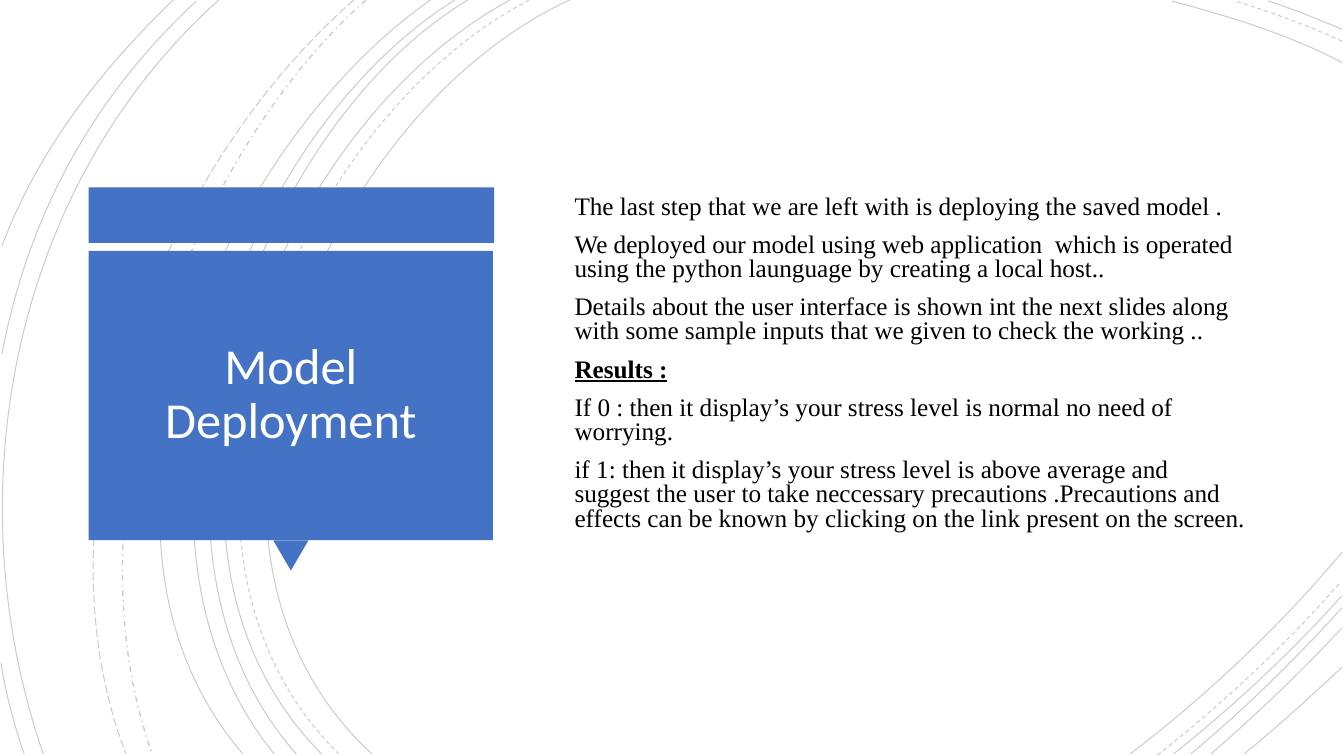
import pptx
import pptx.util
import pptx.dml.color
import pptx.enum.dml
import pptx.enum.shapes
import pptx.enum.text
import pptx.oxml
import pptx.oxml.ns

Inches = pptx.util.Inches
Pt = pptx.util.Pt
Dash = pptx.enum.dml.MSO_LINE
Kind = pptx.enum.shapes.MSO_SHAPE
Align = pptx.enum.text.PP_ALIGN
qn = pptx.oxml.ns.qn
SPACE = pptx.oxml.ns.nsdecls("a")

COLORS = {"line": "000000", "panel": "4472C4", "title": "FFFFFE", "body": "000000"}

# Each arc: start, two control points, end
SOLID = [
    ((5.65, 0), (3.15, 1.15), (1.43, 5.4), (3.69, 7.48)),
    ((13.31, 0.62), (12.78, 0.34), (12.18, 0.16), (11.62, 0.01)),
    ((11.21, 7.48), (11.97, 6.9), (12.69, 6.22), (13.31, 5.48)),
    ((5.06, 0), (2.7, 1.27), (1.1, 5.37), (3.19, 7.48)),
    ((13.31, 0.29), (13.07, 0.19), (12.83, 0.09), (12.58, 0.01)),
    ((11.64, 7.48), (12.23, 7.01), (12.8, 6.48), (13.31, 5.91)),
    ((4.64, 0), (2.44, 1.33), (1.1, 5.41), (2.94, 7.48)),
    ((11.81, 7.48), (12.34, 7.04), (12.84, 6.55), (13.31, 6.03)),
    ((4.51, 0), (2.31, 1.38), (0.97, 5.33), (2.72, 7.48)),
    ((12.01, 7.48), (12.46, 7.09), (12.9, 6.67), (13.31, 6.23)),
    ((4.27, 0), (2.17, 1.47), (0.53, 5.29), (2.41, 7.48)),
    ((12.34, 7.48), (12.67, 7.21), (12.99, 6.92), (13.31, 6.62)),
    ((2.17, 0), (0.11, 1.85), (-0.46, 4.9), (0.43, 7.48)),
    ((1.95, 0.01), (0.92, 0.96), (0.28, 2.14), (0.02, 3.51)),
    ((0.01, 6.58), (0.06, 6.89), (0.14, 7.19), (0.24, 7.48)),
    ((1.72, 0), (1, 0.69), (0.37, 1.5), (0.02, 2.44)),
]
DASHED = [
    ((5.25, 0), (2.85, 1.25), (1.23, 5.37), (3.36, 7.48)),
    ((13.31, 0.41), (12.97, 0.25), (12.6, 0.12), (12.25, 0.01)),
    ((11.48, 7.49), (12.13, 6.98), (12.75, 6.4), (13.3, 5.77)),
]
DOTTED = [((3.63, 0), (1.76, 1.66), (0.65, 5.09), (1.51, 7.48))]
LONG = [((3.51, 0), (1.57, 1.69), (0.29, 4.99), (1.25, 7.48))]

BODY = [
    "The last step that we are left with is deploying the saved model .",
    "We deployed our model using web application  which is operated using "
    "the python launguage by creating a local host..",
    "Details about the user interface is shown int the next slides along "
    "with some sample inputs that we given to check the working ..",
    "Results :",
    "If 0 : then it display’s your stress level is normal no need of worrying.",
    "if 1: then it display’s your stress level is above average and suggest "
    "the user to take neccessary precautions .Precautions and effects can be "
    "known by clicking on the link present on the screen.",
]


def rgb(name):
    return pptx.dml.color.RGBColor.from_string(COLORS[name])


def bend(shape):
    """Turn the three straight segments of an outline into one cubic curve."""
    path = shape._element.find(".//" + qn("a:path"))
    curve = pptx.oxml.parse_xml("<a:cubicBezTo %s/>" % SPACE)
    for part in path.findall(qn("a:lnTo")):
        curve.append(part[0])
        path.remove(part)
    path.append(curve)


def add_arc(slide, arc, dash, width):
    points = [tuple(map(Inches, point)) for point in arc]
    pen = slide.shapes.build_freeform(*points[0])
    pen.add_line_segments(points[1:], close=False)
    shape = pen.convert_to_shape()
    bend(shape)
    shape.shadow.inherit = False
    shape.fill.background()
    shape.line.width = Pt(width)
    shape.line.color.rgb = rgb("line")
    shape.line.dash_style = dash
    color = shape._element.spPr.find(".//" + qn("a:srgbClr"))
    color.append(pptx.oxml.parse_xml('<a:alpha %s val="20000"/>' % SPACE))


def add_panel(slide, kind, box, turn=0):
    shape = slide.shapes.add_shape(kind, *map(Inches, box))
    shape.rotation = turn
    shape.shadow.inherit = False
    shape.fill.solid()
    shape.fill.fore_color.rgb = rgb("panel")
    shape.line.fill.background()


def add_text(slide, box, texts, font, size, color, align, spacing):
    frame = slide.shapes.add_textbox(*map(Inches, box)).text_frame
    frame.word_wrap = True
    frame.vertical_anchor = pptx.enum.text.MSO_ANCHOR.MIDDLE
    for i, text in enumerate(texts):
        para = frame.add_paragraph() if i else frame.paragraphs[0]
        para.text = text
        para.alignment = align
        para.line_spacing = spacing
        para.space_before = Pt(10 if i else 0)
        para.font.name = font
        para.font.size = Pt(size)
        para.font.color.rgb = rgb(color)
        if text == "Results :":
            para.font.bold = para.font.underline = True


def main():
    deck = pptx.Presentation()
    deck.slide_width, deck.slide_height = Inches(13.33), Inches(7.5)
    slide = deck.slides.add_slide(deck.slide_layouts[6])

    for arcs, dash, width in (
        (SOLID, Dash.SOLID, 0.75),
        (DASHED, Dash.DASH, 0.75),
        (DOTTED, Dash.DASH_DOT, 1),
        (LONG, Dash.LONG_DASH, 0.75),
    ):
        for arc in arcs:
            add_arc(slide, arc, dash, width)

    add_panel(slide, Kind.RECTANGLE, (0.88, 1.86, 4.02, 0.55))
    add_panel(slide, Kind.ISOSCELES_TRIANGLE, (2.71, 5.36, 0.35, 0.3), 180)
    add_panel(slide, Kind.RECTANGLE, (0.88, 2.49, 4.01, 2.87))

    add_text(slide, (0.97, 2.58, 3.83, 2.68), ["Model Deployment"],
             "Calibri", 36, "title", Align.CENTER, 0.9)
    add_text(slide, (5.6, 1.86, 6.87, 3.5), BODY,
             "Times New Roman", 18, "body", Align.LEFT, 0.8)
    deck.save("out.pptx")


if __name__ == "__main__":
    main()
